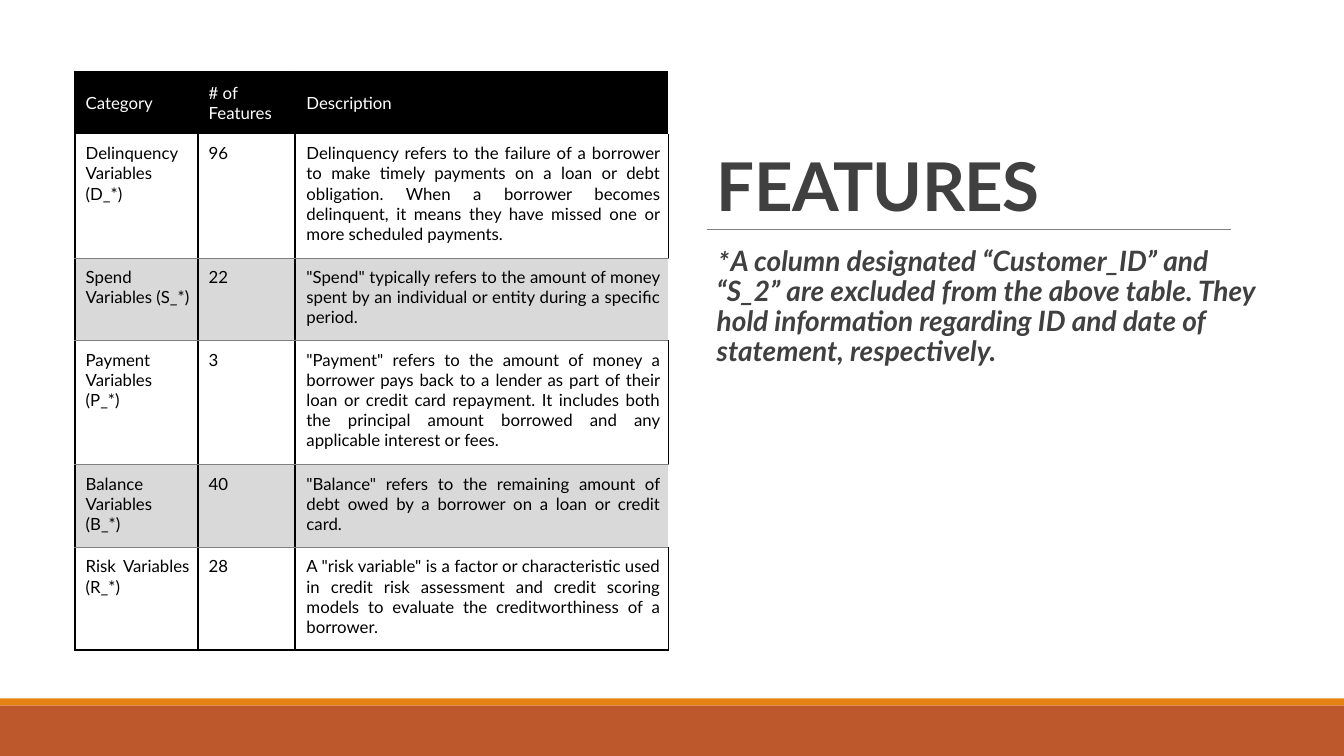
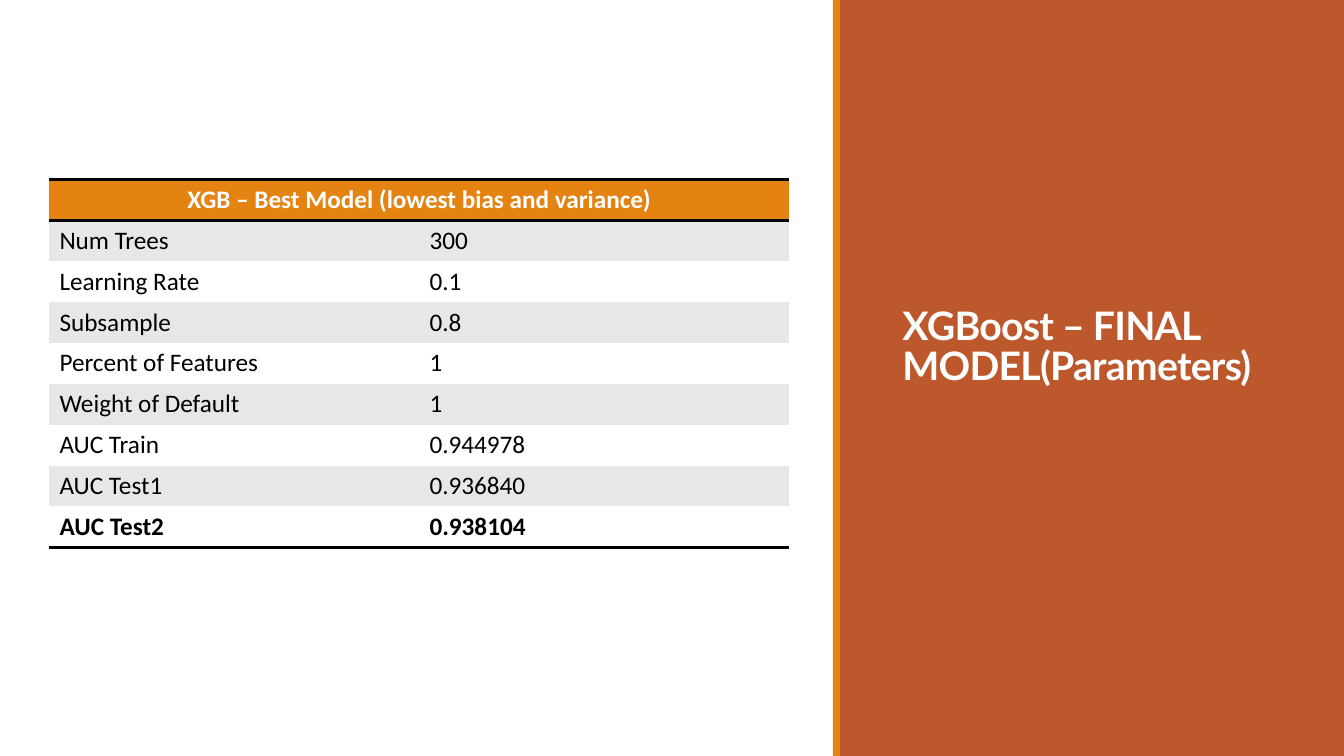
from dataclasses import dataclass

from lxml.etree import SubElement
from pptx import Presentation
from pptx.dml.color import RGBColor
from pptx.enum.shapes import MSO_CONNECTOR, MSO_SHAPE
from pptx.enum.text import MSO_ANCHOR, MSO_AUTO_SIZE, PP_ALIGN
from pptx.oxml.ns import qn
from pptx.util import Inches, Pt


@dataclass(frozen=True)
class Theme:
    rust: str = "BD582C"
    orange: str = "E48312"
    dark: str = "404040"
    black: str = "000000"
    white: str = "FFFFFF"
    grey: str = "808080"
    shade: str = "D9D9D9"
    stripe: str = "E7E7E7"
    head: str = "Lato"
    body: str = "Calibri"
    big: int = 48
    title: int = 28
    note: int = 20
    cell: int = 18
    small: int = 12


T = Theme()
WIDE, HIGH = 13.33, 7.5
PLAIN = "{2D5ABB26-0587-4C30-8999-92F81FD0307C}"  # table style with no grid

# Content
FEATURES = [
    ("Category", "# of Features", "Description"),
    ("Delinquency Variables (D_*)", "96",
     "Delinquency refers to the failure of a borrower to make timely payments "
     "on a loan or debt obligation. When a borrower becomes delinquent, it "
     "means they have missed one or more scheduled payments."),
    ("Spend Variables (S_*)", "22",
     '"Spend" typically refers to the amount of money spent by an individual '
     "or entity during a specific period."),
    ("Payment Variables (P_*)", "3",
     '"Payment" refers to the amount of money a borrower pays back to a lender '
     "as part of their loan or credit card repayment. It includes both the "
     "principal amount borrowed and any applicable interest or fees."),
    ("Balance Variables (B_*)", "40",
     '"Balance" refers to the remaining amount of debt owed by a borrower on a '
     "loan or credit card."),
    ("Risk Variables (R_*)", "28",
     'A "risk variable" is a factor or characteristic used in credit risk '
     "assessment and credit scoring models to evaluate the creditworthiness "
     "of a borrower."),
]
NOTE = [
    ("*", T.body),
    ("A column designated “Customer_ID” and “S_2” are excluded from the above "
     "table. They hold information regarding ID and date of statement, "
     "respectively.", T.head),
]
MODEL = [
    ("XGB – Best Model (lowest bias and variance)", ""),
    ("Num Trees", "300"),
    ("Learning Rate", "0.1"),
    ("Subsample", "0.8"),
    ("Percent of Features", "1"),
    ("Weight of Default", "1"),
    ("AUC Train", "0.944978"),
    ("AUC Test1", "0.936840"),
    ("AUC Test2", "0.938104"),
]


def rgb(code):
    return RGBColor.from_string(code)


def write(frame, runs, size, color, bold=False, italic=False,
          align=PP_ALIGN.LEFT, lines=None, track=None):
    """Fill a frame with one paragraph of (text, font) runs."""
    para = frame.paragraphs[0]
    para.alignment = align
    if lines:
        para.line_spacing = lines
    for text, face in runs:
        run = para.add_run()
        run.text = text
        font = run.font
        font.name, font.size = face, Pt(size)
        font.bold, font.italic = bold, italic
        font.color.rgb = rgb(color)
        if track:
            run._r.get_or_add_rPr().set("spc", str(int(track * 100)))


def bands(slide, *parts):
    """Draw plain rectangles given as (color, box)."""
    for color, box in parts:
        bar = slide.shapes.add_shape(MSO_SHAPE.RECTANGLE, *map(Inches, box))
        bar.shadow.inherit = False
        bar.fill.solid()
        bar.fill.fore_color.rgb = rgb(color)
        bar.line.fill.background()


def head(slide, text, box, size, color):
    """Place the title above the bands."""
    title = slide.shapes.title
    slide.shapes._spTree.append(title._element)
    title.left, title.top, title.width, title.height = map(Inches, box)
    frame = title.text_frame
    frame.word_wrap = True
    frame.auto_size = MSO_AUTO_SIZE.NONE
    frame.vertical_anchor = MSO_ANCHOR.BOTTOM
    write(frame, [(text, T.head)], size, color, bold=True,
          lines=0.85, track=-0.5)


def grid(slide, left, top, cols, rows):
    """Add an unstyled table with the given column and row sizes."""
    box = map(Inches, (left, top, sum(cols), sum(rows)))
    table = slide.shapes.add_table(len(rows), len(cols), *box).table
    table.first_row = table.horz_banding = False
    table._tbl.tblPr.find(qn("a:tableStyleId")).text = PLAIN
    for col, width in zip(table.columns, cols):
        col.width = Inches(width)
    for row, height in zip(table.rows, rows):
        row.height = Inches(height)
    return table


def style(cell, fill, edges):
    """Set borders, a dict of side to (color, points), then the fill."""
    props = cell._tc.get_or_add_tcPr()
    for side in "LRTB":
        if side in edges:
            color, width = edges[side]
            line = SubElement(props, qn(f"a:ln{side}"), w=str(Pt(width)))
            solid = SubElement(line, qn("a:solidFill"))
            SubElement(solid, qn("a:srgbClr"), val=color)
    cell.fill.solid()
    cell.fill.fore_color.rgb = rgb(fill)


def features(slide):
    bands(slide, (T.orange, (0, 6.93, WIDE, 0.07)),
          (T.rust, (0, 7, WIDE, 0.5)))
    head(slide, "FEATURES", (7.01, 0.69, 5.61, 1.59), T.big, T.dark)

    # Rule under the title
    rule = slide.shapes.add_connector(
        MSO_CONNECTOR.STRAIGHT, *map(Inches, (7.01, 2.28, 12.21, 2.28)))
    rule.line.color.rgb = rgb(T.grey)
    rule.line.width = Pt(0.5)
    SubElement(rule._element.spPr, qn("a:effectLst"))

    # Note
    box = slide.shapes.add_textbox(*map(Inches, (7.01, 2.4, 5.61, 4.01)))
    frame = box.text_frame
    frame.word_wrap = True
    frame.margin_right = 0
    write(frame, NOTE, T.note, T.dark, bold=True, italic=True, lines=0.9)

    # Table: black header, then every second row shaded
    cols, rows = (1.22, 0.97, 3.7), (0.62, 1.23, 0.82, 1.23, 0.82, 1.02)
    table = grid(slide, 0.74, 0.71, cols, rows)
    ink, thin = (T.black, 1.5), (T.grey, 0.5)
    for r, row in enumerate(FEATURES):
        top, dim = r == 0, r > 0 and r % 2 == 0
        for c, text in enumerate(row):
            cell = table.cell(r, c)
            edges = {"L": ink}
            if top:
                edges["T"] = ink
            if dim:
                edges["T"] = thin
            if not top and not (dim and c == len(cols) - 1):
                edges["R"] = ink
            if r == len(rows) - 1:
                edges["B"] = ink
            style(cell, T.black if top else T.shade if dim else T.white, edges)
            cell.margin_left, cell.margin_right = Inches(0.11), Inches(0.08)
            cell.margin_top = cell.margin_bottom = Inches(0.09)
            cell.vertical_anchor = MSO_ANCHOR.MIDDLE if top else MSO_ANCHOR.TOP
            write(cell.text_frame, [(text, T.head)], T.small,
                  T.white if top else T.black,
                  align=PP_ALIGN.LEFT if top else PP_ALIGN.JUSTIFY)


def model(slide):
    bands(slide, (T.rust, (8.33, 0, 5, HIGH)),
          (T.orange, (8.26, 0, 0.07, HIGH)))
    head(slide, "XGBoost – FINAL MODEL(Parameters)", (8.85, 0.7, 4, 3.2),
         T.title, T.white)

    # Table: merged header, striped rows, bold last row
    table = grid(slide, 0.49, 1.78, (3.67, 3.67), [0.4] * len(MODEL))
    table.cell(0, 0).merge(table.cell(0, 1))
    ink, last = (T.black, 2), len(MODEL) - 1
    for r, row in enumerate(MODEL):
        top = r == 0
        edges = {"T": ink, "B": ink} if top else {"B": ink} if r == last else {}
        fill = T.orange if top else T.stripe if r % 2 else T.white
        for c, text in enumerate(row):
            cell = table.cell(r, c)
            style(cell, fill, edges)
            if text:
                write(cell.text_frame, [(text, T.body)], T.cell,
                      T.white if top else T.black, bold=r in (0, last),
                      align=PP_ALIGN.CENTER if top else PP_ALIGN.LEFT)


def main():
    deck = Presentation()
    deck.slide_width, deck.slide_height = Inches(WIDE), Inches(HIGH)
    for build in (features, model):
        build(deck.slides.add_slide(deck.slide_layouts[5]))
    deck.save("out.pptx")


if __name__ == "__main__":
    main()
